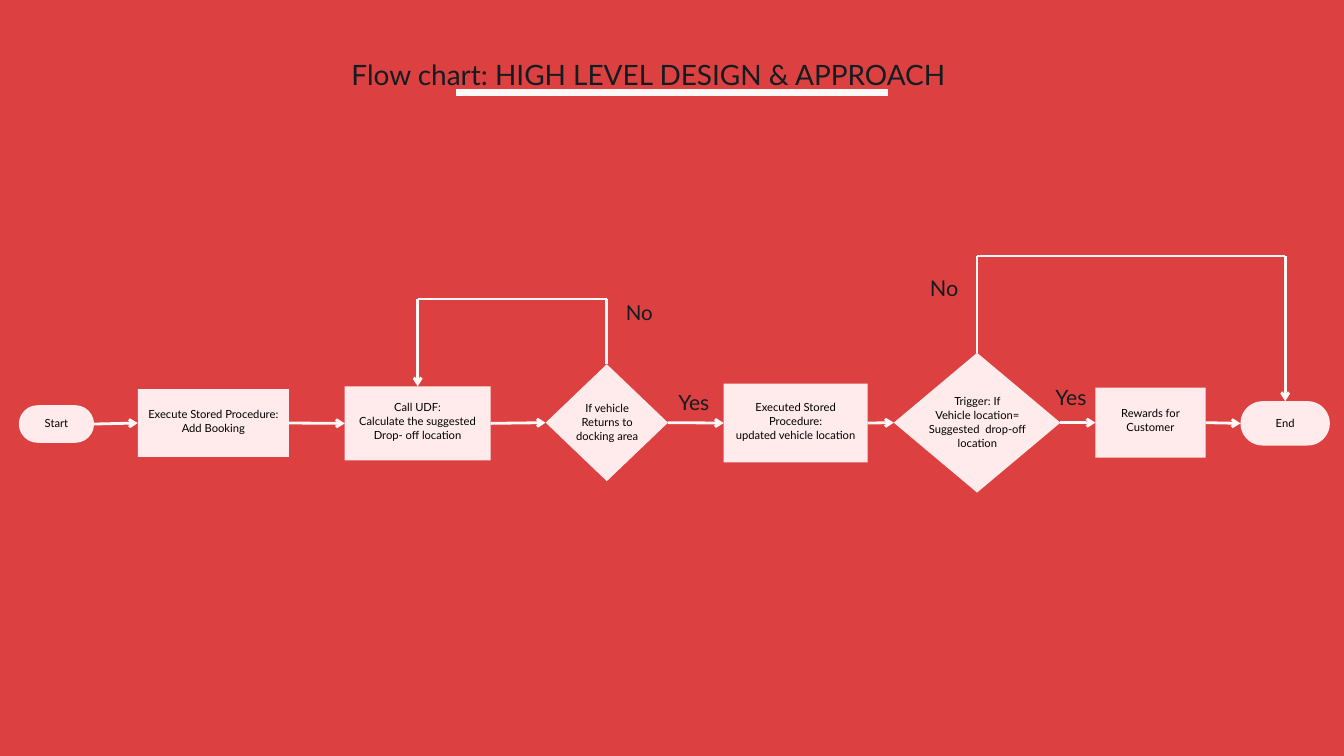
"""Build the high level design flow chart slide."""
from itertools import pairwise
from lxml import etree
from pptx import Presentation
from pptx.dml.color import RGBColor
from pptx.enum import shapes, text
from pptx.oxml.ns import qn
from pptx.util import Inches, Pt

THEME = {
    "font": "Lato", "back": "DD4040", "node": "FFEBEB", "line": "FFF8F7",
    "ink": "131C21", "black": "000000",
    "title": 30, "body": 12, "lead": 15, "wire": 3, "rule": 7.5,
}
KINDS = {
    "pill": shapes.MSO_SHAPE.ROUNDED_RECTANGLE,
    "box": shapes.MSO_SHAPE.RECTANGLE,
    "test": shapes.MSO_SHAPE.DIAMOND,
}
PAD = 0.06
DROP = {"pill": 0.09, "box": 0.14}
TITLE = ("Flow chart: HIGH LEVEL DESIGN & APPROACH", (5.23, 0.83, 10.38, 0.54))
RULE = [(6.79, 1.38), (13.21, 1.38)]
NODES = [
    ("pill", (0.28, 6.03, 1.12, 0.56), ["Start"]),
    ("box", (2.05, 5.79, 2.25, 1.01), ["Execute Stored Procedure:", "Add Booking"]),
    ("box", (5.13, 5.75, 2.17, 1.1),
     ["Call UDF:", "Calculate the suggested Drop- off location"]),
    ("test", (8.12, 5.42, 1.82, 1.74), ["If vehicle Returns to docking area"],
     (8.44, 5.69, 1.19, 1.17)),
    ("box", (10.77, 5.71, 2.14, 1.17),
     ["Executed Stored Procedure:", "updated vehicle location"]),
    ("test", (13.3, 5.25, 2.48, 2.08),
     ["Trigger: If", "Vehicle location= Suggested  drop-off location"],
     (13.73, 5.57, 1.63, 1.4)),
    ("box", (16.3, 5.77, 1.64, 1.04), ["Rewards for Customer"]),
    ("pill", (18.46, 5.97, 1.33, 0.66), ["End"]),
]
LOOPS = [(3, 2, 4.45), (5, 7, 3.81)]
TAGS = [
    ("No", (9.03, 4.41, 0.97, 0.4), 22, 30.8),
    ("Yes", (9.83, 5.74, 0.99, 0.42), 22.5, 31.4),
    ("No", (13.54, 4.02, 1.02, 0.43), 23.2, 32.5),
    ("Yes", (15.44, 5.66, 0.99, 0.41), 22.6, 31.7),
]


def tint(name):
    return RGBColor.from_string(THEME[name])


def write(shape, lines, size, lead, ink, mid=True, pad=0, drop=0):
    frame = shape.text_frame
    frame.word_wrap = True
    frame.margin_left = frame.margin_right = frame.margin_top = Inches(pad)
    frame.margin_bottom = Inches(drop or pad)
    frame.vertical_anchor = text.MSO_ANCHOR.MIDDLE if pad else text.MSO_ANCHOR.TOP
    frame.text = "\n".join(lines)
    for para in frame.paragraphs:
        para.alignment = text.PP_ALIGN.CENTER if mid else text.PP_ALIGN.LEFT
        para.line_spacing = Pt(lead)
        para.font.name = THEME["font"]
        para.font.size = Pt(size)
        para.font.color.rgb = tint(ink)


def label(slide, at):
    return slide.shapes.add_textbox(*map(Inches, at))


def wire(slide, start, end, width, arrow=False):
    line = slide.shapes.add_connector(
        shapes.MSO_CONNECTOR.STRAIGHT, *map(Inches, (*start, *end)))
    line.line.color.rgb = tint("line")
    line.line.width = Pt(width)
    if arrow:
        etree.SubElement(line.line._get_or_add_ln(), qn("a:tailEnd"), type="arrow")
    etree.SubElement(line._element.spPr, qn("a:effectLst"))
    return line


def node(slide, kind, at, lines, inner=None):
    shape = slide.shapes.add_shape(KINDS[kind], *map(Inches, at))
    shape.shadow.inherit = False
    shape.fill.solid()
    shape.fill.fore_color.rgb = tint("node")
    shape.line.fill.background()
    if kind == "pill":
        shape.adjustments[0] = 0.5
    host = label(slide, inner) if inner else shape
    write(host, lines, THEME["body"], THEME["lead"], "black",
          pad=PAD, drop=DROP.get(kind, PAD))
    return shape


def crest(index):
    left, top, width, _ = NODES[index][1]
    return left + width / 2, top


def main():
    deck = Presentation()
    deck.slide_width, deck.slide_height = Inches(20), Inches(11.25)
    slide = deck.slides.add_slide(deck.slide_layouts[6])
    slide.background.fill.solid()
    slide.background.fill.fore_color.rgb = tint("back")

    steps = [node(slide, *item) for item in NODES]
    wire(slide, *RULE, THEME["rule"])
    name, at = TITLE
    write(label(slide, at), [name], THEME["title"], 37.5, "ink", mid=False)

    for left, right in pairwise(steps):
        link = wire(slide, (0, 0), (1, 1), THEME["wire"], arrow=True)
        link.begin_connect(left, 3)
        link.end_connect(right, 1)
    for first, last, high in LOOPS:
        start, end = crest(first), crest(last)
        route = [start, (start[0], high), (end[0], high), end]
        for leg in pairwise(route):
            wire(slide, *leg, THEME["wire"], arrow=leg[1] == end)
    for word, at, size, lead in TAGS:
        write(label(slide, at), [word], size, lead, "ink")
    deck.save("out.pptx")


if __name__ == "__main__":
    main()
